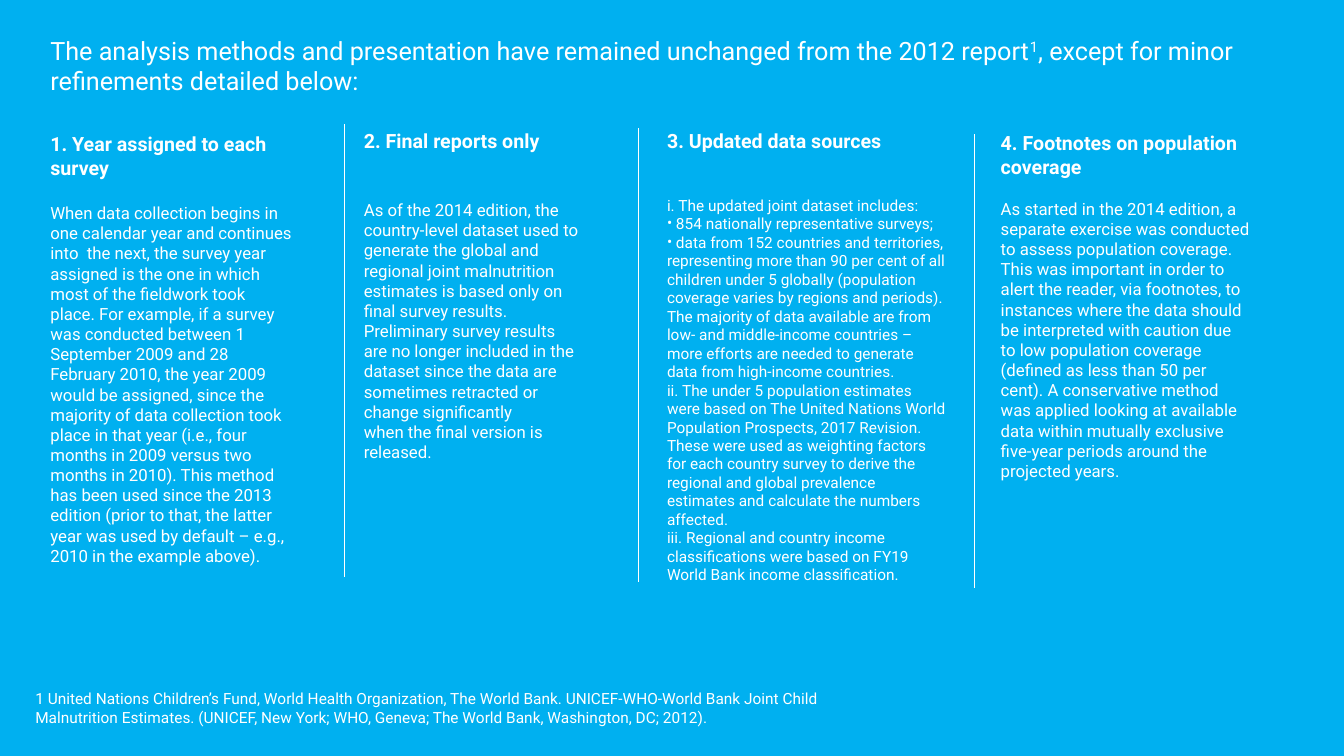
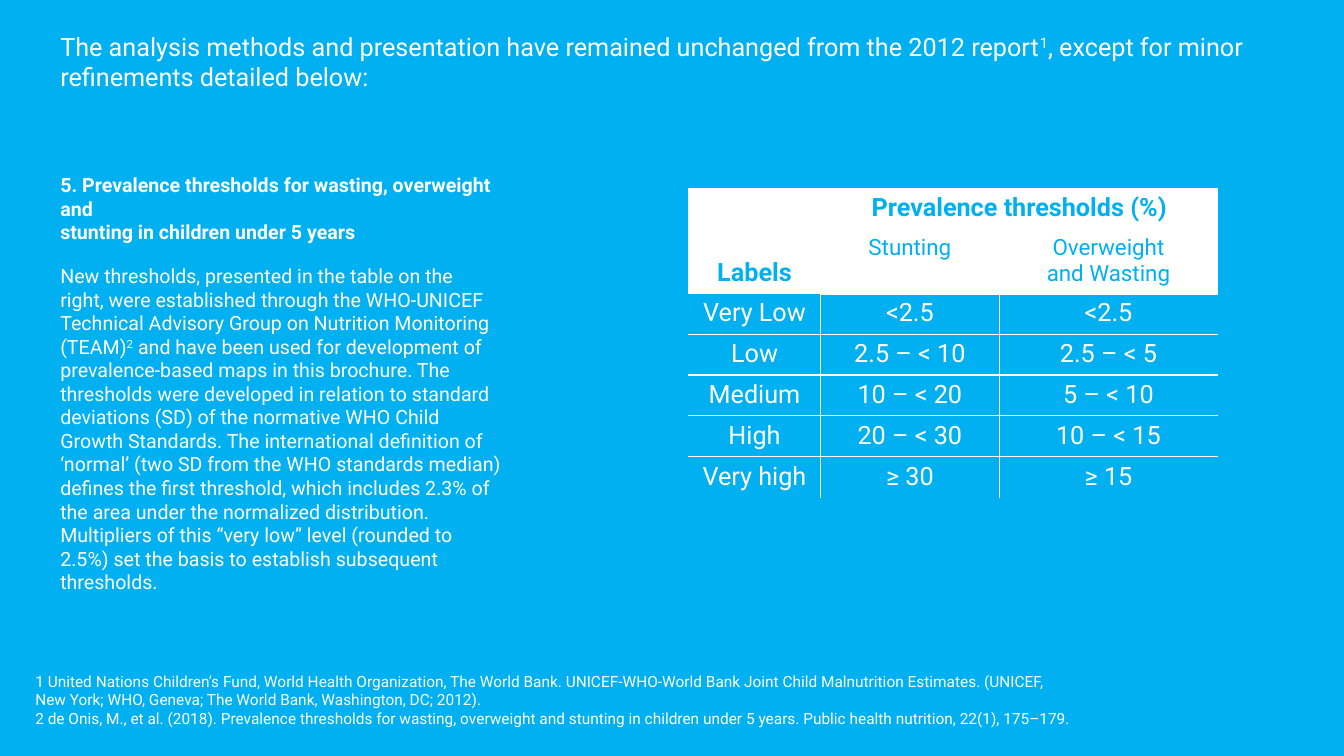
from lxml import etree
from pptx import Presentation
from pptx.dml.color import RGBColor
from pptx.enum import shapes, text
from pptx.oxml import ns
from pptx.util import Cm, Pt

SKY, WHITE = "00B0F0", "FFFFFF"
FONT = "Roboto"

HEADLINE = ("The analysis methods and presentation have remained unchanged from the 2012 report^1^, "
            "except for minor refinements detailed below:")
SOURCES = [
    "1 United Nations Children’s Fund, World Health Organization, The World Bank. UNICEF-WHO-World Bank "
    "Joint Child Malnutrition Estimates. (UNICEF, New York; WHO, Geneva; The World Bank, Washington, DC; 2012).",
    "2 de Onis, M., et al. (2018). Prevalence thresholds for wasting, overweight and stunting in children "
    "under 5 years. Public health nutrition, 22(1), 175–179.",
]

REFINEMENTS = [
    dict(box=(1.02, 3.2, 6.65, 10.77), gap=17, size=12,
         heading=["1. Year assigned to each survey"],
         body=["When data collection begins in one calendar year and continues into  the next, the survey year "
               "assigned is the one in which most of the fieldwork took place. For example, if a survey was "
               "conducted between 1 September 2009 and 28 February 2010, the year 2009 would be assigned, since "
               "the majority of data collection took place in that year (i.e., four months in 2009 versus two "
               "months in 2010). This method has been used since the 2013 edition (prior to that, the latter "
               "year was used by default – e.g., 2010 in the example above)."]),
    dict(box=(8.92, 3.12, 5.94, 8.71), gap=34, size=12,
         heading=["2. Final reports only"],
         body=["As of the 2014 edition, the country-level dataset used to generate the global and regional joint "
               "malnutrition estimates is based only on final survey results. Preliminary survey results are no "
               "longer included in the",
               "dataset since the data are sometimes retracted or change significantly",
               "when the final version is released."]),
    dict(box=(16.56, 3.12, 7.57, 11.4), gap=31, size=11,
         heading=["3. Updated data sources"],
         body=["i. The updated joint dataset includes:",
               "• 854 nationally representative surveys;",
               "• data from 152 countries and territories, representing more than 90 per cent of all children "
               "under 5 globally (population coverage varies by regions and periods). The majority of data "
               "available are from low- and middle-income countries – more efforts are needed to generate data "
               "from high-income countries.",
               "ii. The under 5 population estimates were based on The United Nations World Population "
               "Prospects, 2017 Revision. These were used as weighting factors for each country survey to derive "
               "the regional and global prevalence estimates and calculate the numbers affected.",
               "iii. Regional and country income classifications were based on FY19 World Bank income "
               "classification."]),
    dict(box=(24.97, 3.18, 6.78, 11.71), gap=14.5, size=12,
         heading=["4. Footnotes on population coverage"],
         body=["As started in the 2014 edition, a separate exercise was conducted to assess population coverage. "
               "This was important in order to alert the reader, via footnotes, to instances where the data "
               "should be interpreted with caution due to low population coverage (defined as less than 50 per "
               "cent). A conservative method was applied looking at available data within mutually exclusive "
               "five-year periods around the projected years."]),
]
DIVIDERS = [(8.69, 3.12), (16.08, 3.23), (24.56, 3.38)]
DIVIDER_HEIGHT = 11.43

THRESHOLD_NOTE = dict(
    box=(1.27, 4.24, 11.63, 11.96), gap=14.5, size=14,
    heading=["5. Prevalence thresholds for wasting, overweight and", "stunting in children under 5 years"],
    body=["New thresholds, presented in the table on the right, were established through the WHO-UNICEF Technical "
          "Advisory Group on Nutrition Monitoring (TEAM)^2^ and have been used for development of "
          "prevalence-based maps in this brochure. The thresholds were developed in relation to standard "
          "deviations (SD) of the normative WHO Child Growth Standards. The international definition of ‘normal’ "
          "(two SD from the WHO standards median) defines the first threshold, which includes 2.3% of the area "
          "under the normalized distribution. Multipliers of this “very low” level (rounded to 2.5%) set the "
          "basis to establish subsequent thresholds."])
THRESHOLDS = [
    ("Labels", "Prevalence thresholds (%)", ""),
    ("", "Stunting", "Overweight\nand Wasting"),
    ("Very Low", "<2.5", "<2.5"),
    ("Low", "2.5 – < 10", "2.5 – < 5"),
    ("Medium", "10 – < 20", "5 – < 10"),
    ("High", "20 – < 30", "10 – < 15"),
    ("Very high", "≥ 30", "≥ 15"),
]
HEADER_ROWS = 2
COLUMN_WIDTHS = (3.33, 4.5, 5.51)
ROW_HEIGHT = 1.03


def rgb(code):
    return RGBColor.from_string(code)


def add_bullet(paragraph):
    props = paragraph._p.get_or_add_pPr()
    props.set("marL", "0")
    props.set("indent", "0")
    etree.SubElement(props, ns.qn("a:buFont")).set("typeface", FONT)
    etree.SubElement(props, ns.qn("a:buChar")).set("char", "•")


def write(frame, lines, size=12, color=WHITE, bold=False, align=None, gap=0, append=False):
    for index, line in enumerate(lines):
        paragraph = frame.add_paragraph() if append or index else frame.paragraphs[0]
        if line.startswith("•"):
            add_bullet(paragraph)
            line = line[1:]
        paragraph.alignment = align
        if gap and index == 0:
            paragraph.space_before = Pt(gap)
        for position, part in enumerate(line.split("^")):
            run = paragraph.add_run()
            run.text = part
            run.font.name, run.font.size, run.font.bold = FONT, Pt(size), bold
            run.font.color.rgb = rgb(color)
            if position % 2:
                run.font._element.set("baseline", "30000")


def add_text(slide, box, lines, **style):
    frame = slide.shapes.add_textbox(*map(Cm, box)).text_frame
    frame.word_wrap = True
    frame.auto_size = text.MSO_AUTO_SIZE.SHAPE_TO_FIT_TEXT
    write(frame, lines, **style)
    return frame


def add_refinement(slide, item):
    frame = add_text(slide, item["box"], item["heading"], size=14, bold=True)
    write(frame, item["body"], size=item["size"], gap=item["gap"], append=True)


def add_divider(slide, x, top):
    line = slide.shapes.add_connector(shapes.MSO_CONNECTOR.STRAIGHT,
                                      Cm(x), Cm(top), Cm(x), Cm(top + DIVIDER_HEIGHT))
    line.line.color.rgb = rgb(WHITE)
    line.line.width = Pt(0.75)
    etree.SubElement(line._element.spPr, ns.qn("a:effectLst"))


def set_borders(cell, **widths):
    props = cell._tc.get_or_add_tcPr()
    for side in "LRTB":
        edge = etree.SubElement(props, ns.qn(f"a:ln{side}"), w=str(Pt(widths[side])))
        if widths[side]:
            fill = etree.SubElement(edge, ns.qn("a:solidFill"))
            etree.SubElement(fill, ns.qn("a:srgbClr"), val=WHITE)
        else:
            etree.SubElement(edge, ns.qn("a:noFill"))


def add_thresholds(slide, left, top):
    rows, columns = len(THRESHOLDS), len(COLUMN_WIDTHS)
    table = slide.shapes.add_table(rows, columns, Cm(left), Cm(top),
                                   Cm(sum(COLUMN_WIDTHS)), Cm(ROW_HEIGHT * rows)).table
    table.first_row = table.horz_banding = False
    for column, width in zip(table.columns, COLUMN_WIDTHS):
        column.width = Cm(width)
    for r, values in enumerate(THRESHOLDS):
        table.rows[r].height = Cm(ROW_HEIGHT)
        header = r < HEADER_ROWS
        for c, value in enumerate(values):
            cell = table.cell(r, c)
            if header:
                set_borders(cell, L=1, R=1, T=1, B=3 if r == HEADER_ROWS - 1 else 1)
                cell.fill.solid()
                cell.fill.fore_color.rgb = rgb(WHITE)
            else:
                set_borders(cell, L=int(c > 0), R=int(c < columns - 1),
                            T=3 if r == HEADER_ROWS and c else 1, B=int(r < rows - 1))
                cell.fill.background()
            if value:
                write(cell.text_frame, value.split("\n"), size=16 if r == 1 else 18,
                      color=SKY if header else WHITE, bold=r == 0, align=text.PP_ALIGN.CENTER)
    table.cell(0, 0).merge(table.cell(1, 0))
    table.cell(0, 1).merge(table.cell(0, 2))
    table.cell(0, 0).vertical_anchor = text.MSO_ANCHOR.BOTTOM


def add_page(deck, headline_box, sources_box, sources):
    slide = deck.slides.add_slide(deck.slide_layouts[6])
    slide.background.fill.solid()
    slide.background.fill.fore_color.rgb = rgb(SKY)
    add_text(slide, headline_box, [HEADLINE], size=18)
    add_text(slide, sources_box, sources, size=11)
    return slide


def main():
    deck = Presentation()
    deck.slide_width, deck.slide_height = Cm(33.87), Cm(19.05)

    methods = add_page(deck, (1.02, 0.76, 32.44, 1.8), (0.64, 17.25, 22.43, 1.19), SOURCES[:1])
    for item in REFINEMENTS:
        add_refinement(methods, item)
    for x, top in DIVIDERS:
        add_divider(methods, x, top)

    prevalence = add_page(deck, (1.27, 0.66, 32.18, 1.8), (0.64, 16.81, 26.67, 2.13), SOURCES)
    add_refinement(prevalence, THRESHOLD_NOTE)
    add_thresholds(prevalence, 17.35, 4.75)

    deck.save("out.pptx")


if __name__ == "__main__":
    main()
